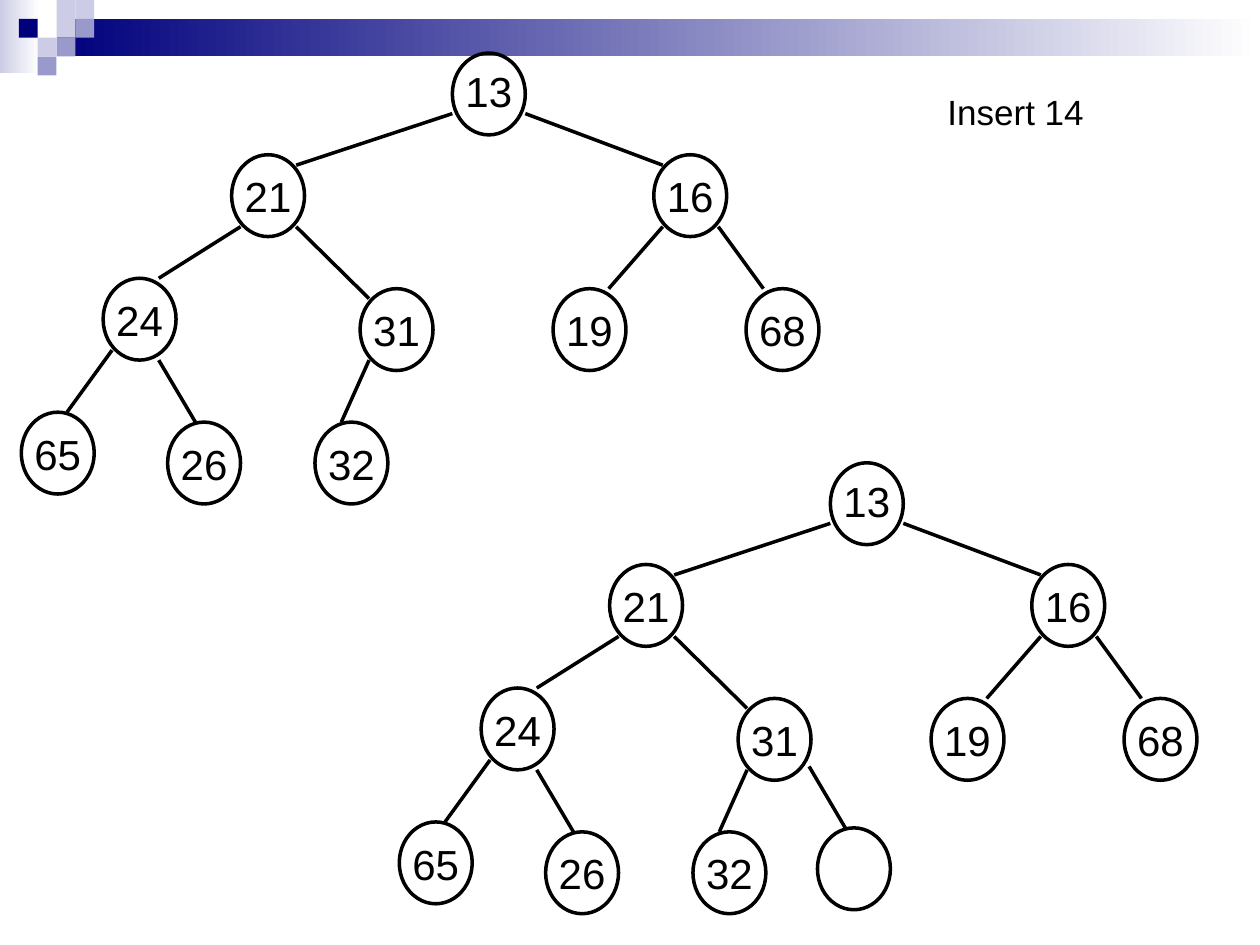
import dataclasses

import pptx
import pptx.dml.color
import pptx.enum.shapes
import pptx.enum.text
import pptx.oxml
import pptx.util

Cm = pptx.util.Cm
Pt = pptx.util.Pt
ShapeKind = pptx.enum.shapes.MSO_SHAPE
Align = pptx.enum.text.PP_ALIGN

COLORS = {
    "black": "000000",
    "white": "FFFFFF",
    "navy": "00007D",
    "violet": "9999CC",
    "lavender": "CCCCE6",
}
FONT = "Arial"
NODE_WIDTH, NODE_HEIGHT = 1.47, 1.65
LABEL_HEIGHT = 1.27
LINE_WIDTH = 2
SQUARE = 0.38


@dataclasses.dataclass(frozen=True)
class Node:
    text: str
    left: float
    top: float
    label_drop: float = 0.2


@dataclasses.dataclass(frozen=True)
class Edge:
    x1: float
    y1: float
    x2: float
    y2: float


@dataclasses.dataclass(frozen=True)
class Square:
    column: int
    row: int
    color: str


HEAP_NODES = [
    Node("13", 9.12, 1.07, label_drop=0.13),
    Node("21", 4.67, 3.12),
    Node("16", 13.18, 3.12),
    Node("24", 2.08, 5.61),
    Node("31", 7.26, 5.82),
    Node("19", 11.15, 5.82),
    Node("68", 15.04, 5.82),
    Node("65", 0.43, 8.31),
    Node("26", 3.38, 8.51),
    Node("32", 6.35, 8.51),
]
HEAP_EDGES = [
    Edge(9.12, 2.29, 5.97, 3.33),
    Edge(10.59, 2.29, 13.36, 3.33),
    Edge(4.85, 4.57, 3.2, 5.61),
    Edge(5.97, 4.57, 7.44, 6.02),
    Edge(13.36, 4.57, 12.27, 5.82),
    Edge(14.48, 4.57, 15.39, 5.82),
    Edge(2.26, 7.06, 1.35, 8.31),
    Edge(3.2, 7.26, 3.94, 8.51),
    Edge(7.44, 7.26, 6.88, 8.51),
]
HOLE = Node("", 8.86, 8.43)
HOLE_EDGE = Edge(8.69, 7.19, 9.42, 8.43)

SQUARES = [
    Square(3, 0, "lavender"),
    Square(3, 1, "lavender"),
    Square(4, 0, "lavender"),
    Square(4, 1, "violet"),
    Square(2, 2, "lavender"),
    Square(1, 1, "navy"),
    Square(3, 2, "violet"),
    Square(2, 3, "violet"),
]


def rgb(name: str) -> pptx.dml.color.RGBColor:
    return pptx.dml.color.RGBColor.from_string(COLORS[name])


def add_rectangle(page, left: float, top: float, width: float, height: float,
                  color: str, fade_to: str = ""):
    """Add a borderless rectangle, solid or fading from left to right."""
    shape = page.shapes.add_shape(
        ShapeKind.RECTANGLE, Cm(left), Cm(top), Cm(width), Cm(height))
    shape.shadow.inherit = False
    shape.line.fill.background()
    if fade_to:
        shape.fill.gradient()
        shape.fill.gradient_angle = 0
        for stop, name in zip(shape.fill.gradient_stops, (color, fade_to)):
            stop.color.rgb = rgb(name)
    else:
        shape.fill.solid()
        shape.fill.fore_color.rgb = rgb(color)


def add_text(page, text: str, *, left: float, top: float, width: float,
             height: float, size: float, space_before: float,
             align=Align.LEFT):
    box = page.shapes.add_textbox(Cm(left), Cm(top), Cm(width), Cm(height))
    box.text_frame.word_wrap = True
    box.text_frame.auto_size = pptx.enum.text.MSO_AUTO_SIZE.SHAPE_TO_FIT_TEXT
    para = box.text_frame.paragraphs[0]
    para.alignment = align
    para.space_before = Pt(space_before)
    span = para.add_run()
    span.text = text
    span.font.name = FONT
    span.font.size = Pt(size)
    span.font.color.rgb = rgb("black")


def add_edge(page, edge: Edge, dx: float, dy: float):
    line = page.shapes.add_connector(
        pptx.enum.shapes.MSO_CONNECTOR.STRAIGHT,
        Cm(edge.x1 + dx), Cm(edge.y1 + dy), Cm(edge.x2 + dx), Cm(edge.y2 + dy))
    line.line.color.rgb = rgb("black")
    line.line.width = Pt(LINE_WIDTH)
    properties = line._element.spPr
    properties.append(pptx.oxml.parse_xml(
        '<a:effectLst xmlns:a='
        '"http://schemas.openxmlformats.org/drawingml/2006/main"/>'))


def add_node(page, node: Node, dx: float, dy: float):
    left, top = node.left + dx, node.top + dy
    circle = page.shapes.add_shape(
        ShapeKind.OVAL, Cm(left), Cm(top), Cm(NODE_WIDTH), Cm(NODE_HEIGHT))
    circle.shadow.inherit = False
    circle.fill.background()
    circle.line.color.rgb = rgb("black")
    circle.line.width = Pt(LINE_WIDTH)
    if node.text:
        add_text(page, node.text, left=left, top=top + node.label_drop,
                 width=NODE_WIDTH, height=LABEL_HEIGHT, size=24,
                 space_before=15, align=Align.CENTER)


def add_heap(page, nodes: list[Node], edges: list[Edge],
             dx: float = 0, dy: float = 0):
    for edge in edges:
        add_edge(page, edge, dx, dy)
    for node in nodes:
        add_node(page, node, dx, dy)


def add_banner(page):
    add_rectangle(page, 0, 0, 0.79, 1.47, "lavender", fade_to="white")
    add_rectangle(page, 1.14, SQUARE, 24.26, 2 * SQUARE, "navy", fade_to="white")
    for square in SQUARES:
        add_rectangle(page, square.column * SQUARE, square.row * SQUARE,
                      SQUARE, SQUARE, square.color)


def main():
    deck = pptx.Presentation()
    deck.slide_width, deck.slide_height = Cm(25.4), Cm(19.05)
    page = deck.slides.add_slide(deck.slide_layouts[6])
    add_banner(page)
    add_heap(page, HEAP_NODES, HEAP_EDGES)
    add_text(page, "Insert 14", left=18.85, top=1.7, width=4.45, height=1.12,
             size=20, space_before=12.5)
    add_heap(page, HEAP_NODES + [HOLE], HEAP_EDGES + [HOLE_EDGE],
             dx=7.62, dy=8.26)
    deck.save("out.pptx")


if __name__ == "__main__":
    main()
